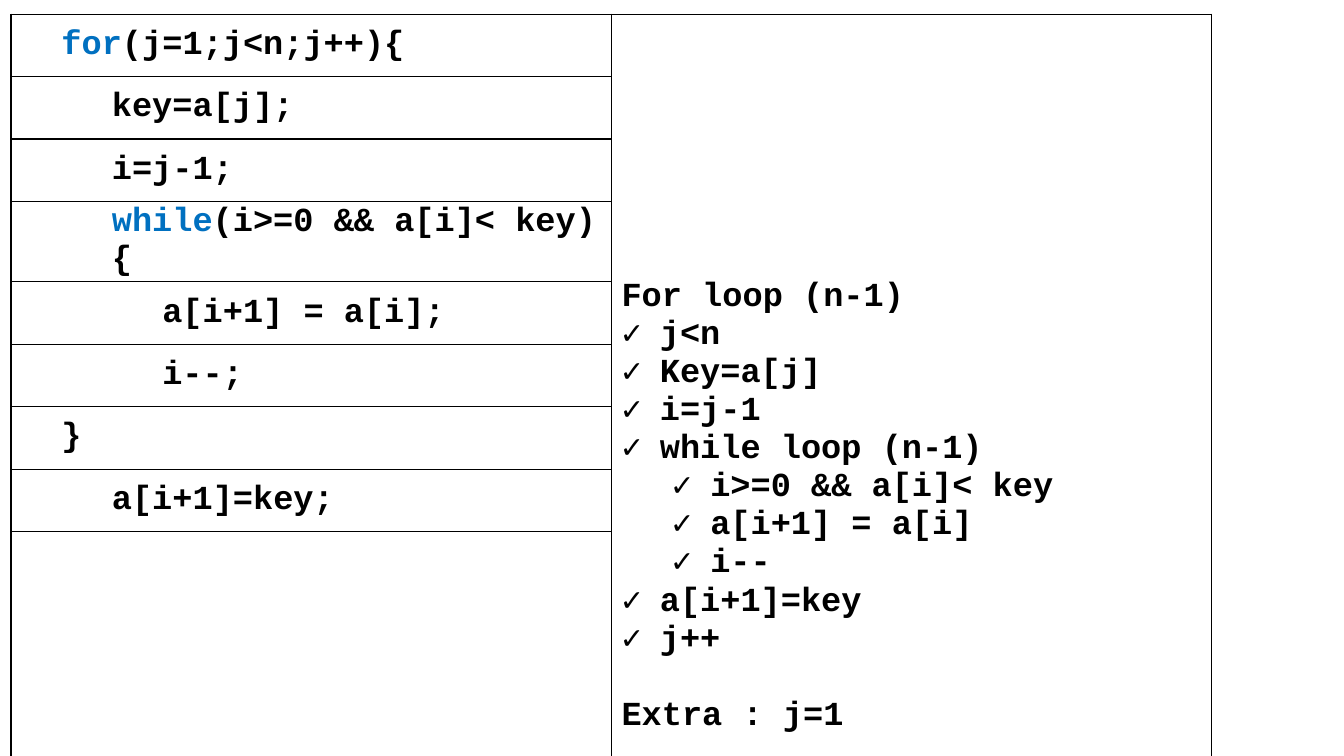
from pptx import Presentation, util as u
from pptx.dml.color import RGBColor
from pptx.enum import text
from pptx.oxml import parse_xml
from pptx.oxml.ns import nsdecls

BLACK, BLUE = "000000", "0070C0"
FACE = "Courier New"


def paint(font, color):
    font.color.rgb = RGBColor.from_string(color)


def write(para, parts, left, tick=False):
    props = para._p.get_or_add_pPr()
    props.set("marL", str(u.Inches(left)))
    props.set("indent", str(u.Inches(-0.38 if tick else 0)))
    if tick:
        props.append(parse_xml(f'<a:buFont {nsdecls("a")} typeface="{FACE}"/>'))
        props.append(parse_xml(f'<a:buChar {nsdecls("a")} char="✓"/>'))
    font = para.font
    font.name, font.size, font.bold = FACE, u.Pt(24), True
    paint(font, BLACK)
    for word, color in parts:
        run = para.add_run()
        run.text = word
        if color != BLACK:
            paint(run.font, color)


code = [
    (0.5, "for", "(j=1;j<n;j++){"),
    (1, "", "key=a[j];"),
    (1, "", "i=j-1;"),
    (1, "while", "(i>=0 && a[i]< key){"),
    (1.5, "", "a[i+1] = a[i];"),
    (1.5, "", "i--;"),
    (0.5, "", "}"),
    (1, "", "a[i+1]=key;"),
]
steps = [
    (0, "For loop (n-1)"),
    (0.38, "j<n"),
    (0.38, "Key=a[j]"),
    (0.38, "i=j-1"),
    (0.38, "while loop (n-1)"),
    (0.88, "i>=0 && a[i]< key"),
    (0.88, "a[i+1] = a[i]"),
    (0.88, "i--"),
    (0.38, "a[i+1]=key"),
    (0.38, "j++"),
    (0, "Extra : j=1"),
]

deck = Presentation()
deck.slide_width, deck.slide_height = u.Inches(13.33), u.Inches(7.5)
slide = deck.slides.add_slide(deck.slide_layouts[6])
rows = len(code) + 1
table = slide.shapes.add_table(
    rows, 2, u.Inches(0.11), u.Inches(0.14), u.Inches(11.91), u.Inches(0.62 * rows)
).table
table.first_row = table.horz_banding = False
for row in table.rows:
    row.height = u.Inches(0.62)

for cell in table.iter_cells():
    cell.fill.background()
    cell.vertical_anchor = text.MSO_ANCHOR.MIDDLE
    for spot, side in enumerate("LRTB"):
        cell._tc.get_or_add_tcPr().insert(spot, parse_xml(
            f'<a:ln{side} {nsdecls("a")} w="12700"><a:solidFill>'
            f'<a:srgbClr val="{BLACK}"/></a:solidFill></a:ln{side}>'))

for line, (left, key, rest) in enumerate(code):
    cell = table.cell(line, 0)
    cell.margin_left = cell.margin_right = 0
    cell.margin_top = cell.margin_bottom = u.Inches(0.02)
    parts = [(key, BLUE), (rest, BLACK)] if key else [(rest, BLACK)]
    write(cell.text_frame.paragraphs[0], parts, left)

notes = table.cell(0, 1)
notes.merge(table.cell(rows - 1, 1))
frame = notes.text_frame
for count, (left, step) in enumerate(steps):
    para = frame.add_paragraph() if count else frame.paragraphs[0]
    write(para, [(step, BLACK)], left, left > 0)
para.space_before = u.Pt(27)

deck.save("out.pptx")
